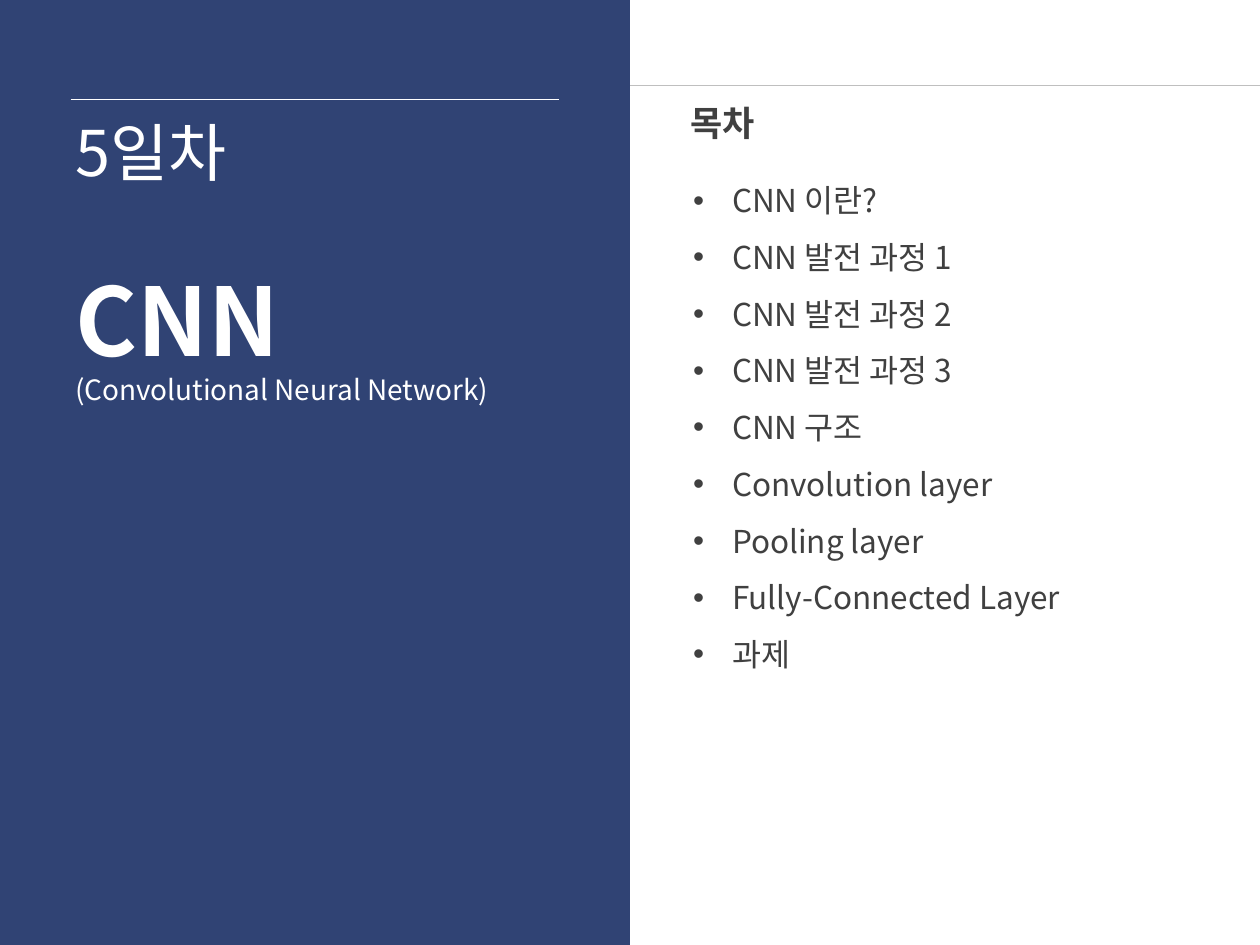
from dataclasses import dataclass

from lxml import etree
from pptx import Presentation
from pptx.dml.color import RGBColor
from pptx.enum.shapes import MSO_CONNECTOR, MSO_SHAPE
from pptx.oxml.ns import qn
from pptx.util import Inches, Pt

RECTANGLE = MSO_SHAPE.RECTANGLE
STRAIGHT = MSO_CONNECTOR.STRAIGHT


@dataclass(frozen=True)
class Theme:
    font: str = "Noto Sans CJK KR"
    navy: RGBColor = RGBColor(0x30, 0x43, 0x74)
    white: RGBColor = RGBColor(0xFF, 0xFF, 0xFF)
    ink: RGBColor = RGBColor(0x40, 0x40, 0x40)
    rule: RGBColor = RGBColor(0xBF, 0xBF, 0xBF)
    day: Pt = Pt(36)
    topic: Pt = Pt(54)
    subtitle: Pt = Pt(16)
    heading: Pt = Pt(20)
    item: Pt = Pt(18)
    hairline: Pt = Pt(0.75)
    title_spacing: float = 0.9
    list_spacing: float = 1.5


THEME = Theme()
AGENDA = [
    "CNN 이란?",
    "CNN 발전 과정 1",
    "CNN 발전 과정 2",
    "CNN 발전 과정 3",
    "CNN 구조",
    "Convolution layer",
    "Pooling layer",
    "Fully-Connected Layer",
    "과제",
]


def add_rule(slide, x, y, width, color):
    line = slide.shapes.add_connector(
        STRAIGHT, Inches(x), Inches(y), Inches(x + width), Inches(y))
    line.line.color.rgb = color
    line.line.width = THEME.hairline
    etree.SubElement(line._element.spPr, qn("a:effectLst"))


def add_text_frame(slide, x, y, w, h, insets=(0.1, 0.05, 0.1, 0.05)):
    box = slide.shapes.add_textbox(Inches(x), Inches(y), Inches(w), Inches(h))
    tf = box.text_frame
    tf.word_wrap = True
    tf.margin_left, tf.margin_top, tf.margin_right, tf.margin_bottom = map(Inches, insets)
    return tf


def add_run(p, text, size, color, bold=False):
    r = p.add_run()
    r.text = text
    r.font.size = size
    r.font.bold = bold
    r.font.color.rgb = color
    r.font.name = THEME.font
    etree.SubElement(r._r.get_or_add_rPr(), qn("a:ea"), typeface=THEME.font)


def make_bullet(p, indent, hanging):
    pPr = p._p.get_or_add_pPr()
    pPr.set("marL", str(Inches(indent)))
    pPr.set("indent", str(-Inches(hanging)))
    etree.SubElement(pPr, qn("a:buFont"), typeface="Arial")
    etree.SubElement(pPr, qn("a:buChar"), char="•")


def add_title_panel(slide, x, y, w, h):
    panel = slide.shapes.add_shape(RECTANGLE, Inches(x), Inches(y), Inches(w), Inches(h))
    panel.shadow.inherit = False
    panel.fill.solid()
    panel.fill.fore_color.rgb = THEME.navy
    panel.line.fill.background()
    add_rule(slide, x + 0.56, y + 0.79, w - 1.12, THEME.white)

    p = add_text_frame(slide, x + 0.5, y + 0.92, 3.88, 0.66).paragraphs[0]
    p.line_spacing = THEME.title_spacing
    add_run(p, "5일차", THEME.day, THEME.white)

    p = add_text_frame(slide, x + 0.5, y + 2.13, 3.88, 2.05).paragraphs[0]
    p.line_spacing = THEME.title_spacing
    add_run(p, "CNN", THEME.topic, THEME.white, bold=True)
    p.add_line_break()
    add_run(p, "(Convolutional Neural Network)", THEME.subtitle, THEME.white)


def add_agenda(slide, x, y, items):
    p = add_text_frame(slide, x + 0.48, y + 0.64, 0.76, 0.52, (0, 0, 0, 0)).paragraphs[0]
    p.line_spacing = THEME.list_spacing
    add_run(p, "목차", THEME.heading, THEME.ink, bold=True)

    tf = add_text_frame(slide, x, y + 1.24, 3.88, 4.19, (0, 0.05, 0.1, 0.05))
    for i, item in enumerate(items):
        p = tf.paragraphs[0] if i == 0 else tf.add_paragraph()
        p.line_spacing = THEME.list_spacing
        make_bullet(p, 0.81, 0.31)
        add_run(p, item, THEME.item, THEME.ink)


def main():
    prs = Presentation()
    prs.slide_width, prs.slide_height = Inches(10), Inches(7.5)
    slide = prs.slides.add_slide(prs.slide_layouts[6])
    add_rule(slide, 0, 0.68, 10, THEME.rule)
    add_title_panel(slide, 0, 0, 5, 7.5)
    add_agenda(slide, 5, 0, AGENDA)
    prs.save("out.pptx")


if __name__ == "__main__":
    main()
